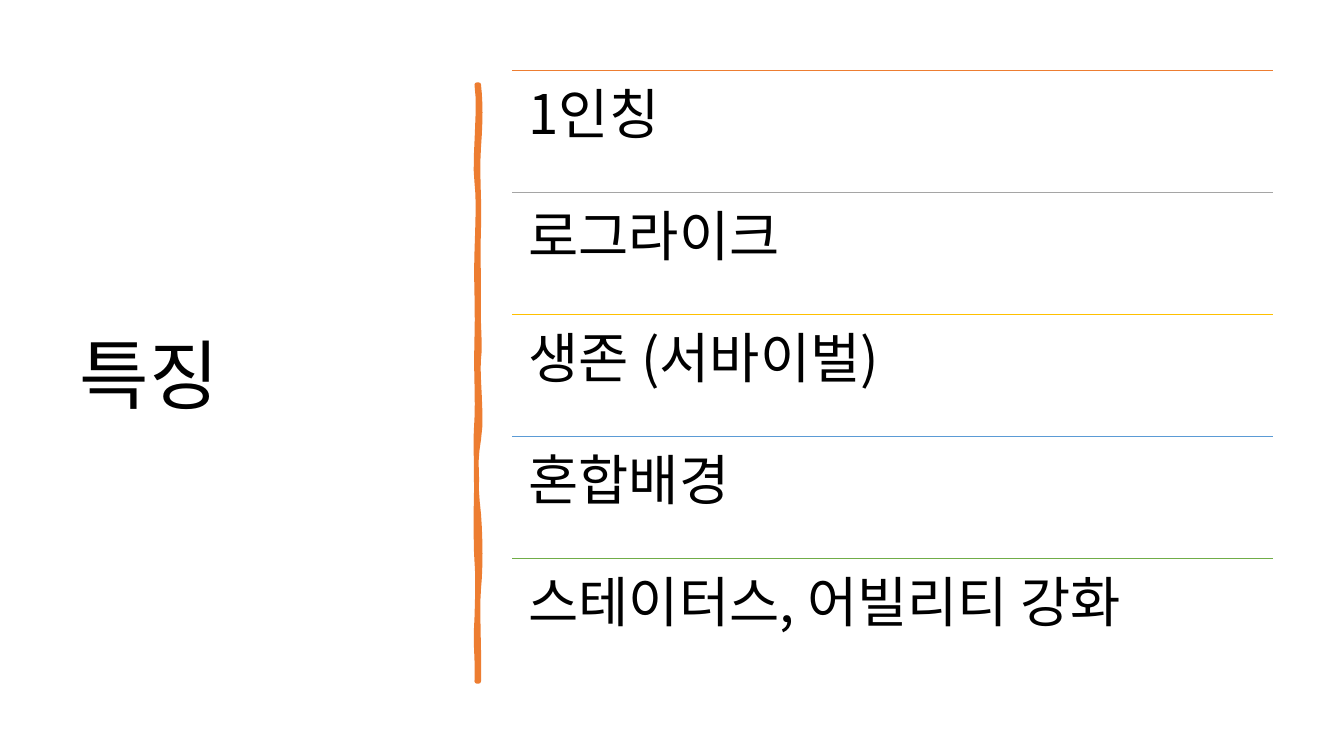
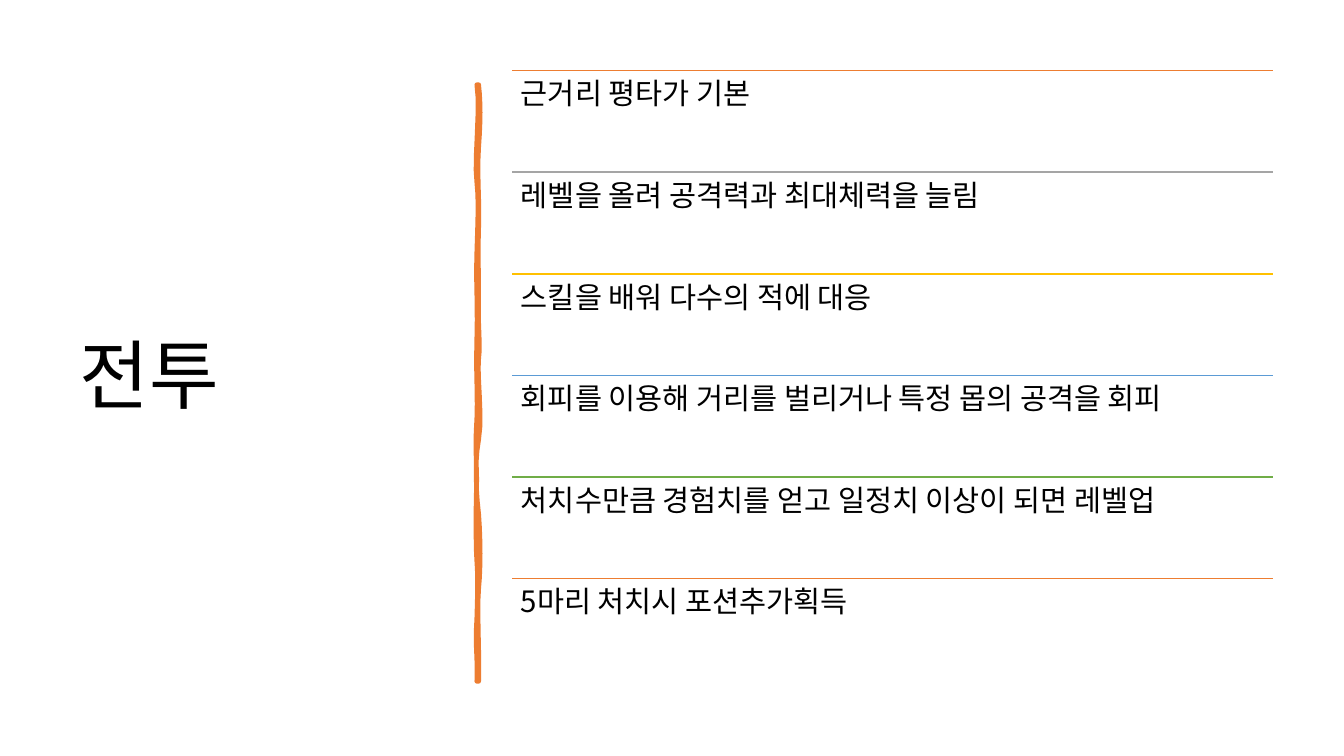
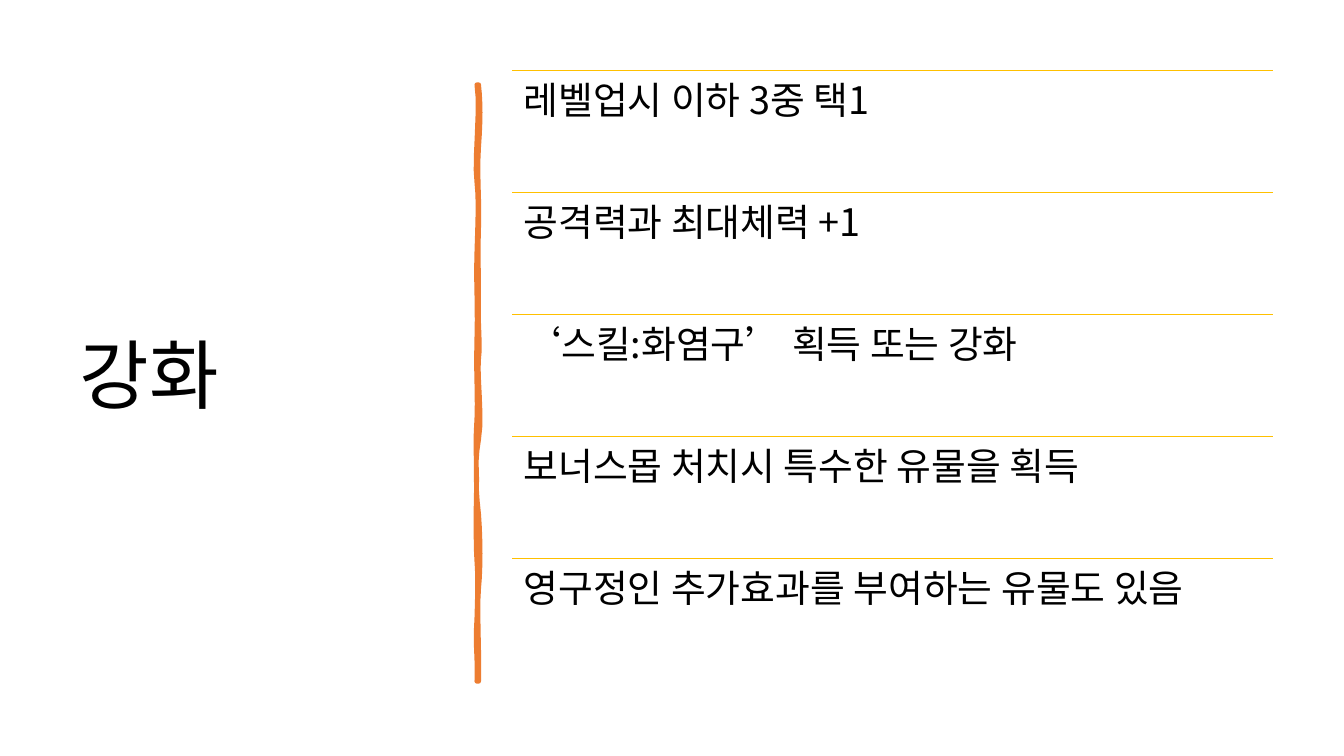
from itertools import cycle

from lxml.etree import SubElement
from pptx import Presentation
from pptx.dml.color import RGBColor
from pptx.enum.shapes import MSO_CONNECTOR
from pptx.enum.text import MSO_ANCHOR
from pptx.oxml.ns import qn
from pptx.util import Pt

FONT = "Noto Sans CJK KR"
TEXT = "000000"
ORANGE, GRAY, GOLD, BLUE, GREEN = "ED7D31", "A5A5A5", "FFC000", "5B9BD5", "70AD47"
ACCENTS = [ORANGE, GRAY, GOLD, BLUE, GREEN]
TITLE_BOX = (49.7, 50.4, 269.3, 439.9)
LIST_LEFT, LIST_TOP, LIST_WIDTH, LIST_HEIGHT = 365.8, 50.4, 543.6, 435.6

BRUSH_START = (342, 60.5)
BRUSH_CURVES = [
    ((343.4, 73.4), (343.4, 85.7), (342, 105.1)),
    ((340.6, 124.6), (342.7, 140.4), (342, 162.7)),
    ((341.3, 185), (342, 188.6), (342, 211.7)),
    ((341.3, 234), (343.4, 246.2), (342, 256.3)),
    ((340.6, 266.4), (344.9, 298.1), (342, 313.9)),
    ((339.1, 329), (339.8, 348.5), (342, 367.2)),
    ((343.4, 385.9), (343.4, 406.1), (342, 420.5)),
    ((340.6, 434.2), (342.7, 468), (342, 486.7)),
    ((341.3, 486.7), (340.6, 486.7), (340.6, 486.7)),
    ((341.3, 465.1), (339.1, 463.7), (340.6, 441.4)),
    ((341.3, 419.8), (341.3, 410.4), (340.6, 401)),
    ((339.8, 391.7), (339.8, 356.4), (340.6, 343.4)),
    ((340.6, 330.5), (339.1, 320.4), (340.6, 298.8)),
    ((341.3, 277.9), (339.8, 268.6), (340.6, 241.2)),
    ((341.3, 214.6), (339.8, 202.3), (340.6, 180)),
    ((341.3, 157), (342, 144), (340.6, 130.3)),
    ((338.4, 117.4), (343.4, 74.9), (340.6, 60.5)),
]

SLIDES = [
    ("특징", 39, ACCENTS, [
        "1인칭",
        "로그라이크",
        "생존 (서바이벌)",
        "혼합배경",
        "스테이터스, 어빌리티 강화",
    ]),
    ("전투", 21, ACCENTS, [
        "근거리 평타가 기본",
        "레벨을 올려 공격력과 최대체력을 늘림",
        "스킬을 배워 다수의 적에 대응",
        "회피를 이용해 거리를 벌리거나 특정 몹의 공격을 회피",
        "처치수만큼 경험치를 얻고 일정치 이상이 되면 레벨업",
        "5마리 처치시 포션추가획득",
    ]),
    ("강화", 27, [GOLD], [
        "레벨업시 이하 3중 택1",
        "공격력과 최대체력 +1",
        "‘스킬:화염구’ 획득 또는 강화",
        "보너스몹 처치시 특수한 유물을 획득",
        "영구정인 추가효과를 부여하는 유물도 있음",
    ]),
]


def color(value):
    return RGBColor.from_string(value)


def apply(target, values):
    for name, value in values.items():
        setattr(target, name, value)


def curve_points(start, curves, steps=6):
    for first, second, end in curves:
        for step in range(1, steps + 1):
            t = step / steps
            u = 1 - t
            yield tuple(
                u**3 * a + 3 * u * u * t * b + 3 * u * t * t * c + t**3 * d
                for a, b, c, d in zip(start, first, second, end)
            )
        start = end


class Deck:
    """Hold the shared style and the current slide, and draw its elements."""

    def __init__(self):
        self.presentation = Presentation()
        apply(self.presentation, {"slide_width": Pt(960), "slide_height": Pt(540)})
        self.slide = None

    def add_slide(self):
        self.slide = self.presentation.slides.add_slide(self.presentation.slide_layouts[6])

    def text(self, box, content, size, insets, anchor):
        shape = self.slide.shapes.add_textbox(*map(Pt, box))
        horizontal, vertical = map(Pt, insets)
        apply(shape.text_frame, {
            "word_wrap": True,
            "vertical_anchor": anchor,
            "margin_left": horizontal,
            "margin_right": horizontal,
            "margin_top": vertical,
            "margin_bottom": vertical,
        })
        paragraph = shape.text_frame.paragraphs[0]
        paragraph.line_spacing = 0.9
        run = paragraph.add_run()
        run.text = content
        apply(run.font, {"name": FONT, "size": Pt(size)})
        run.font.color.rgb = color(TEXT)
        SubElement(run._r.get_or_add_rPr(), qn("a:ea")).set("typeface", FONT)

    def title(self, content):
        self.text(TITLE_BOX, content, 54, (7.2, 3.6), MSO_ANCHOR.MIDDLE)

    def brush_stroke(self):
        units = 100
        start_x, start_y = (value * units for value in BRUSH_START)
        builder = self.slide.shapes.build_freeform(start_x, start_y, scale=Pt(1) / units)
        builder.add_line_segments(
            [(x * units, y * units) for x, y in curve_points(BRUSH_START, BRUSH_CURVES)]
        )
        shape = builder.convert_to_shape()
        shape.shadow.inherit = False
        shape.fill.solid()
        shape.fill.fore_color.rgb = color(ORANGE)
        shape.line.color.rgb = color(ORANGE)
        shape.line.width = Pt(3.25)
        SubElement(shape._element.spPr.find(qn("a:ln")), qn("a:round"))

    def rule(self, top, line_color):
        connector = self.slide.shapes.add_connector(
            MSO_CONNECTOR.STRAIGHT,
            *map(Pt, (LIST_LEFT, top, LIST_LEFT + LIST_WIDTH, top)),
        )
        connector.line.color.rgb = color(line_color)
        connector.line.width = Pt(1)
        SubElement(connector._element.spPr, qn("a:effectLst"))

    def ruled_list(self, items, size, colors):
        row_height = LIST_HEIGHT / len(items)
        inset = size * 0.3
        for index, (item, line_color) in enumerate(zip(items, cycle(colors))):
            top = LIST_TOP + index * row_height
            self.rule(top, line_color)
            box = (LIST_LEFT, top, LIST_WIDTH, row_height)
            self.text(box, item, size, (inset, inset), MSO_ANCHOR.TOP)


def main():
    deck = Deck()
    for title, size, colors, items in SLIDES:
        deck.add_slide()
        deck.title(title)
        deck.brush_stroke()
        deck.ruled_list(items, size, colors)
    deck.presentation.save("out.pptx")


if __name__ == "__main__":
    main()
